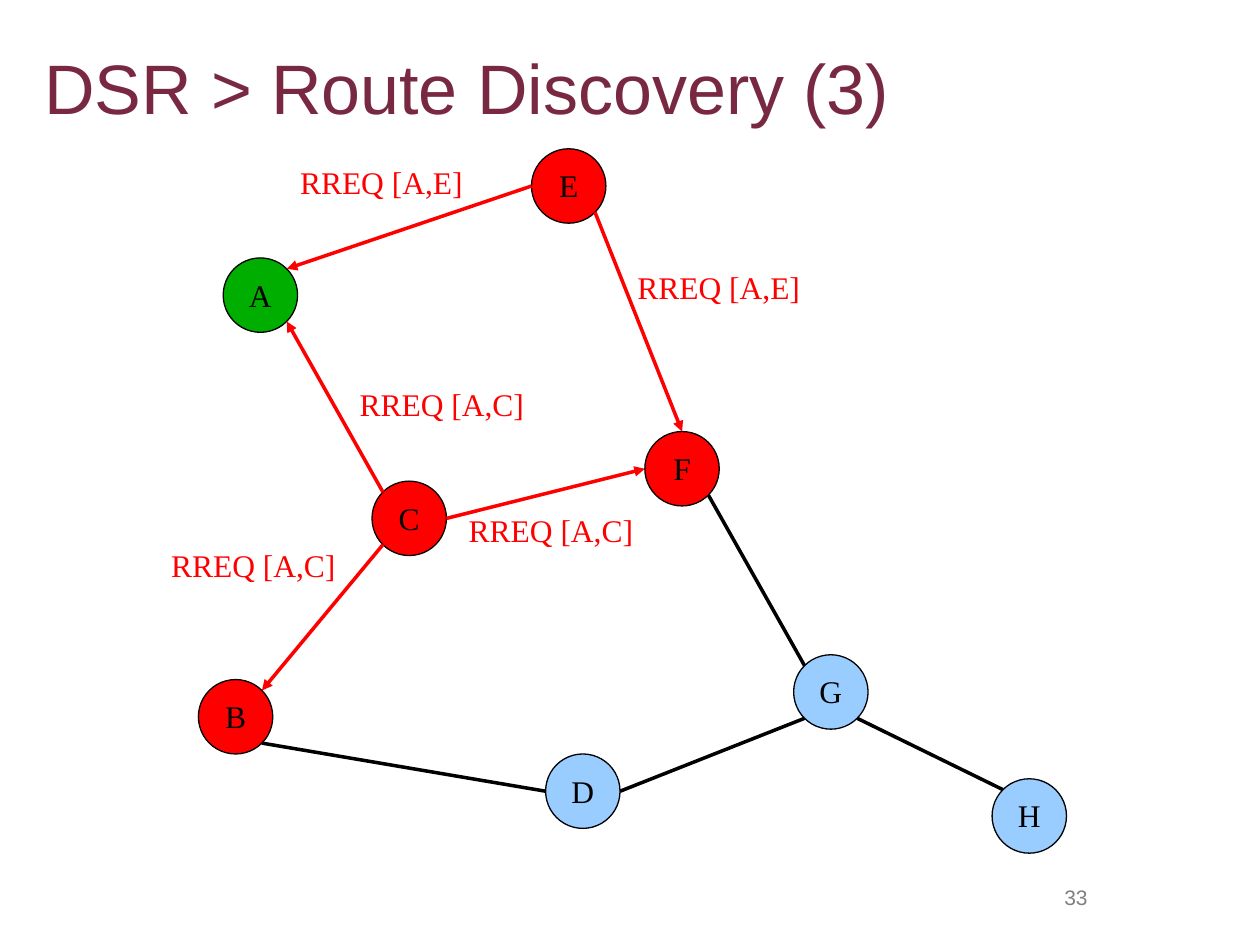
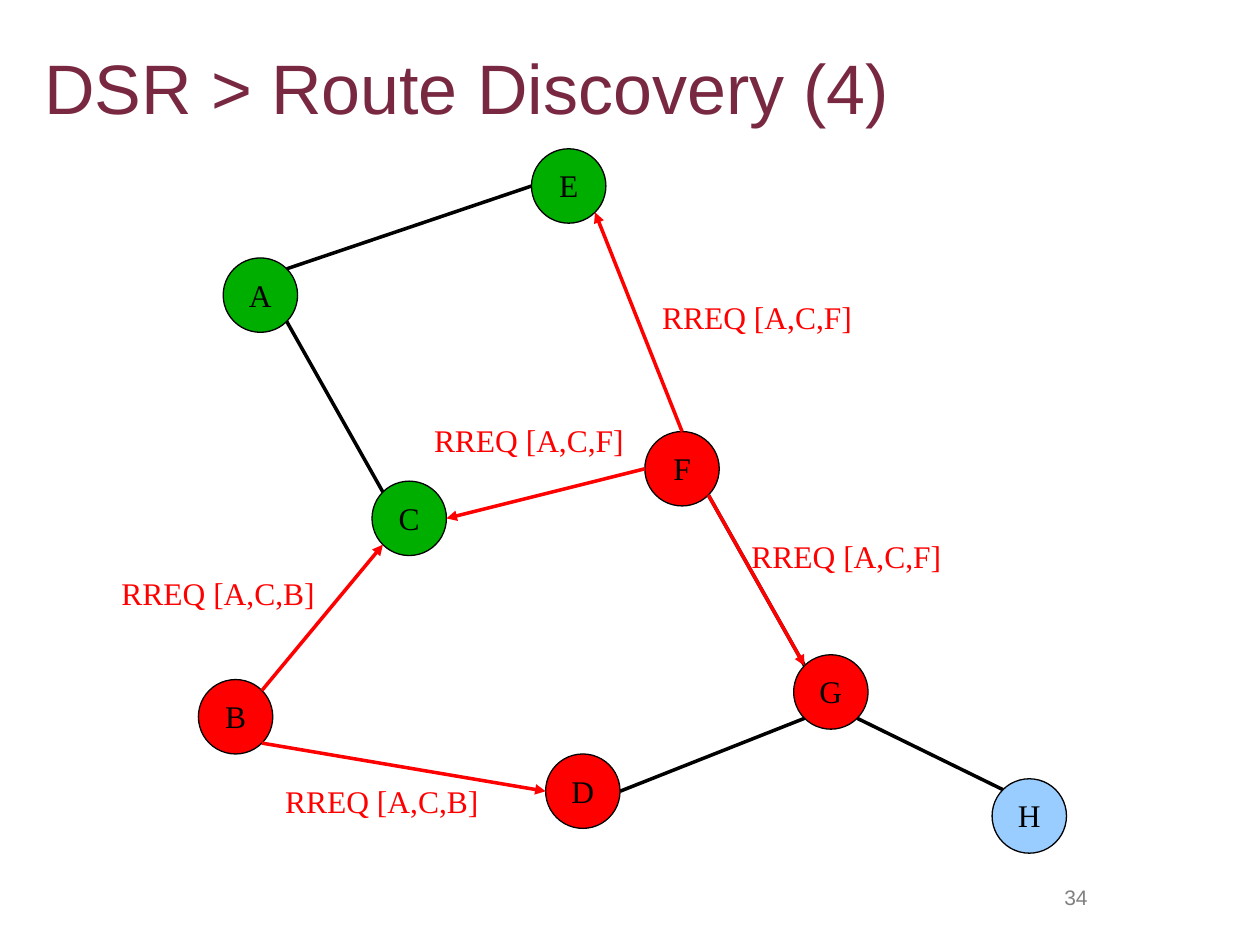
from math import cos, radians, sin

from lxml.etree import SubElement
from pptx import Presentation
from pptx.dml.color import RGBColor
from pptx.enum.shapes import MSO_CONNECTOR, MSO_SHAPE
from pptx.enum.text import MSO_ANCHOR, MSO_AUTO_SIZE, PP_ALIGN
from pptx.oxml.ns import qn
from pptx.util import Cm, Inches, Pt

# Shared look
PLUM = RGBColor(0x78, 0x29, 0x41)
GREY = RGBColor(0x80, 0x80, 0x80)
BLACK = RGBColor(0, 0, 0)
RED = RGBColor(0xFF, 0, 0)
GREEN = RGBColor(0, 0xAE, 0)
BLUE = RGBColor(0x99, 0xCC, 0xFF)
SANS, SERIF = "Arial", "Times New Roman"
WIDTH, HEIGHT = Inches(10), Inches(7.5)

# The network lies on a grid of half-centimetre cells below a small offset
CELL, GRID_TOP = Cm(0.5), Cm(0.2)
NODE_CELLS = 3
NODES = {  # column and row of the top left corner
    "A": (9, 10), "B": (8, 27), "C": (15, 19), "E": (21.43, 5.6),
    "D": (22, 30), "F": (26, 17), "G": (32, 26), "H": (40, 31),
}
# "AE": angle on the rim of A where its link to E is attached
ANGLES = {
    "AE": 45, "EA": 180, "AC": -45, "CA": 135, "CB": 225, "BC": 45,
    "CF": 0, "FC": 180, "EF": -45, "FE": 90, "BD": -45, "DB": 180,
    "FG": -45, "GF": 135, "DG": 0, "GD": 225, "GH": -45, "HG": 135,
}
LABEL_COLUMNS = {
    "RREQ [A,E]": 7.82, "RREQ [A,C]": 8.38,
    "RREQ [A,C,B]": 9.8, "RREQ [A,C,F]": 10,
}

# Each step: nodes by colour, idle links, requests sent, labels on the grid
STEPS = [
    {
        "title": "DSR > Route Discovery (3)", "number": 33,
        "done": "A", "active": "BCEF",
        "idle": ["BD", "FG", "DG", "GH"],
        "requests": ["CB", "CF", "EF", "CA", "EA"],
        "labels": [
            ("RREQ [A,C]", 14, 15), ("RREQ [A,E]", 11.6, 6.05),
            ("RREQ [A,E]", 25.2, 10.27), ("RREQ [A,C]", 18.4, 20.07),
            ("RREQ [A,C]", 6.4, 21.5),
        ],
    },
    {
        "title": "DSR > Route Discovery (4)", "number": 34,
        "done": "ACE", "active": "BDFG",
        "idle": ["AE", "CA", "FG", "DG", "GH"],
        "requests": ["BD", "FG", "FE", "FC", "BC"],
        "labels": [
            ("RREQ [A,C,B]", 4.4, 22.6), ("RREQ [A,C,F]", 26.2, 11.5),
            ("RREQ [A,C,F]", 29.8, 21.1), ("RREQ [A,C,F]", 17, 16.45),
            ("RREQ [A,C,B]", 11, 31),
        ],
    },
]


def grid(column, row):
    return round(column * CELL), round(GRID_TOP + row * CELL)


def write(shape, text, font, size, color, align=PP_ALIGN.LEFT, spacing=None):
    """Put one formatted paragraph into a shape."""
    frame = shape.text_frame
    frame.text = text
    frame.word_wrap = True
    para = frame.paragraphs[0]
    para.alignment = align
    para.line_spacing = spacing
    para.font.name = font
    para.font.size = Pt(size)
    para.font.color.rgb = color
    return frame


def add_title(page, text):
    title = page.shapes.title
    title.left, title.top = round(0.025 * WIDTH), round(0.047 * HEIGHT)
    title.width, title.height = round(0.858 * WIDTH), round(0.105 * HEIGHT)
    frame = write(title, text, SANS, 40, PLUM, spacing=0.8)
    frame.vertical_anchor = MSO_ANCHOR.MIDDLE
    frame.auto_size = MSO_AUTO_SIZE.SHAPE_TO_FIT_TEXT


def add_page_number(page, number):
    box = page.shapes.add_textbox(
        round(0.775 * WIDTH), round(0.929 * HEIGHT),
        round(0.098 * WIDTH), round(0.043 * HEIGHT))
    write(box, str(number), SANS, 12, GREY, PP_ALIGN.RIGHT)


def add_node(page, name, fill):
    side = NODE_CELLS * CELL
    node = page.shapes.add_shape(MSO_SHAPE.OVAL, *grid(*NODES[name]), side, side)
    node.shadow.inherit = False
    node.fill.solid()
    node.fill.fore_color.rgb = fill
    node.line.color.rgb = BLACK
    node.line.width = Pt(0)
    frame = write(node, name, SERIF, 18, BLACK, PP_ALIGN.CENTER, 0.61)
    frame.margin_left = frame.margin_right = Inches(0.1)
    frame.margin_top = Inches(0.13)
    frame.vertical_anchor = MSO_ANCHOR.MIDDLE


def rim_point(name, neighbour):
    """Point on a node's rim where the link to its neighbour starts."""
    column, row = NODES[name]
    angle = radians(ANGLES[name + neighbour])
    radius = NODE_CELLS / 2
    return grid(column + radius * (1 + cos(angle)),
                row + radius * (1 - sin(angle)))


def add_link(page, link, color, arrow=False):
    start, end = link
    line = page.shapes.add_connector(
        MSO_CONNECTOR.STRAIGHT, *rim_point(start, end), *rim_point(end, start))
    line.line.color.rgb = color
    line.line.width = Pt(0)
    if arrow:
        SubElement(line.line._get_or_add_ln(), qn("a:tailEnd"), type="triangle")
    SubElement(line._element.spPr, qn("a:effectLst"))


def add_label(page, text, column, row):
    box = page.shapes.add_textbox(
        *grid(column, row), round(LABEL_COLUMNS[text] * CELL), round(2.44 * CELL))
    frame = write(box, text, SERIF, 18, RED, spacing=0.61)
    frame.margin_top = Inches(0.13)
    frame.auto_size = MSO_AUTO_SIZE.SHAPE_TO_FIT_TEXT


def add_step(deck, step):
    page = deck.slides.add_slide(deck.slide_layouts.get_by_name("Title Only"))
    add_title(page, step["title"])
    for name in NODES:
        fill = (GREEN if name in step["done"]
                else RED if name in step["active"] else BLUE)
        add_node(page, name, fill)
    for link in step["idle"]:
        add_link(page, link, BLACK)
    for link in step["requests"]:
        add_link(page, link, RED, arrow=True)
    for label in step["labels"]:
        add_label(page, *label)
    add_page_number(page, step["number"])


def main():
    deck = Presentation()
    deck.slide_width, deck.slide_height = WIDTH, HEIGHT
    for step in STEPS:
        add_step(deck, step)
    deck.save("out.pptx")


if __name__ == "__main__":
    main()
